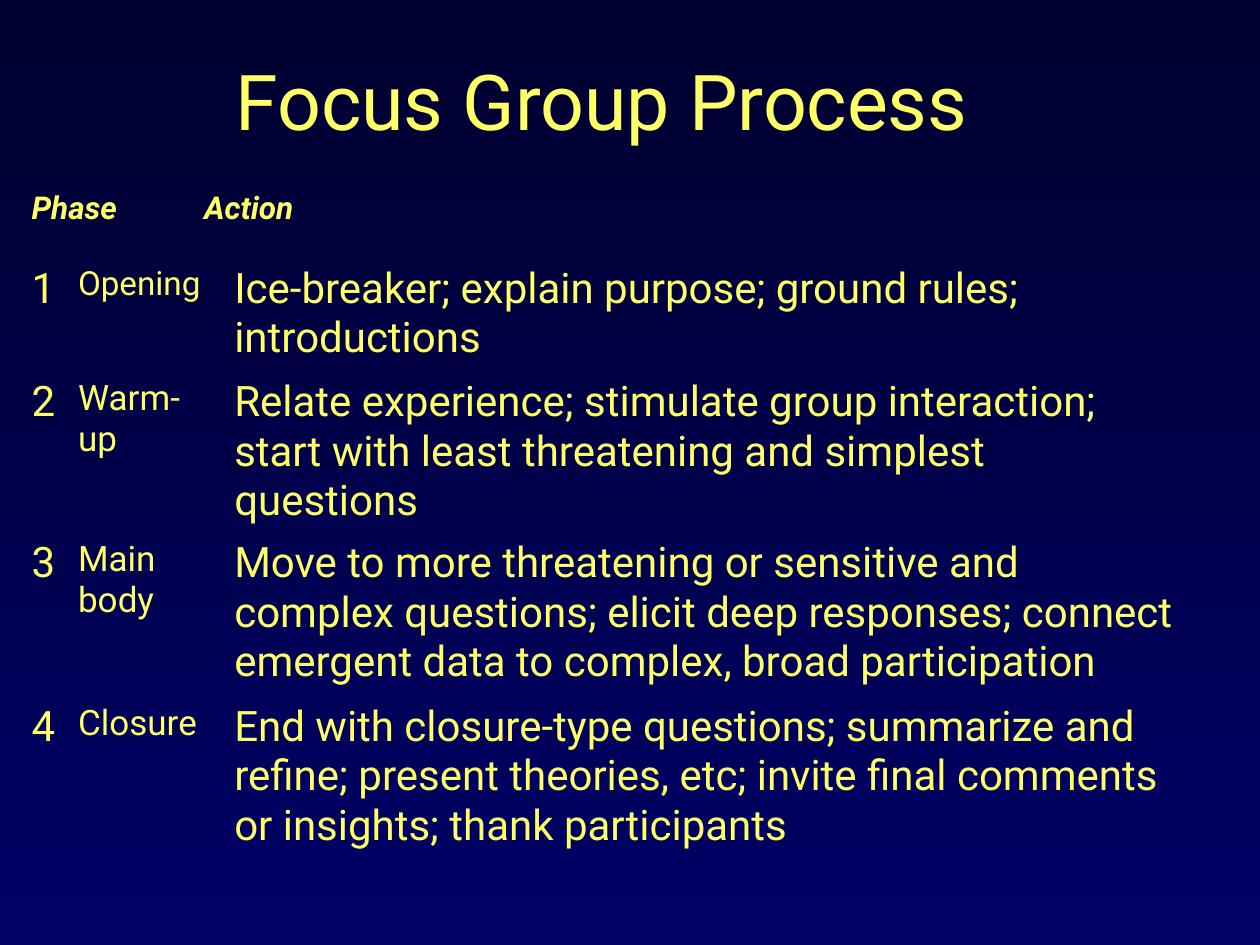
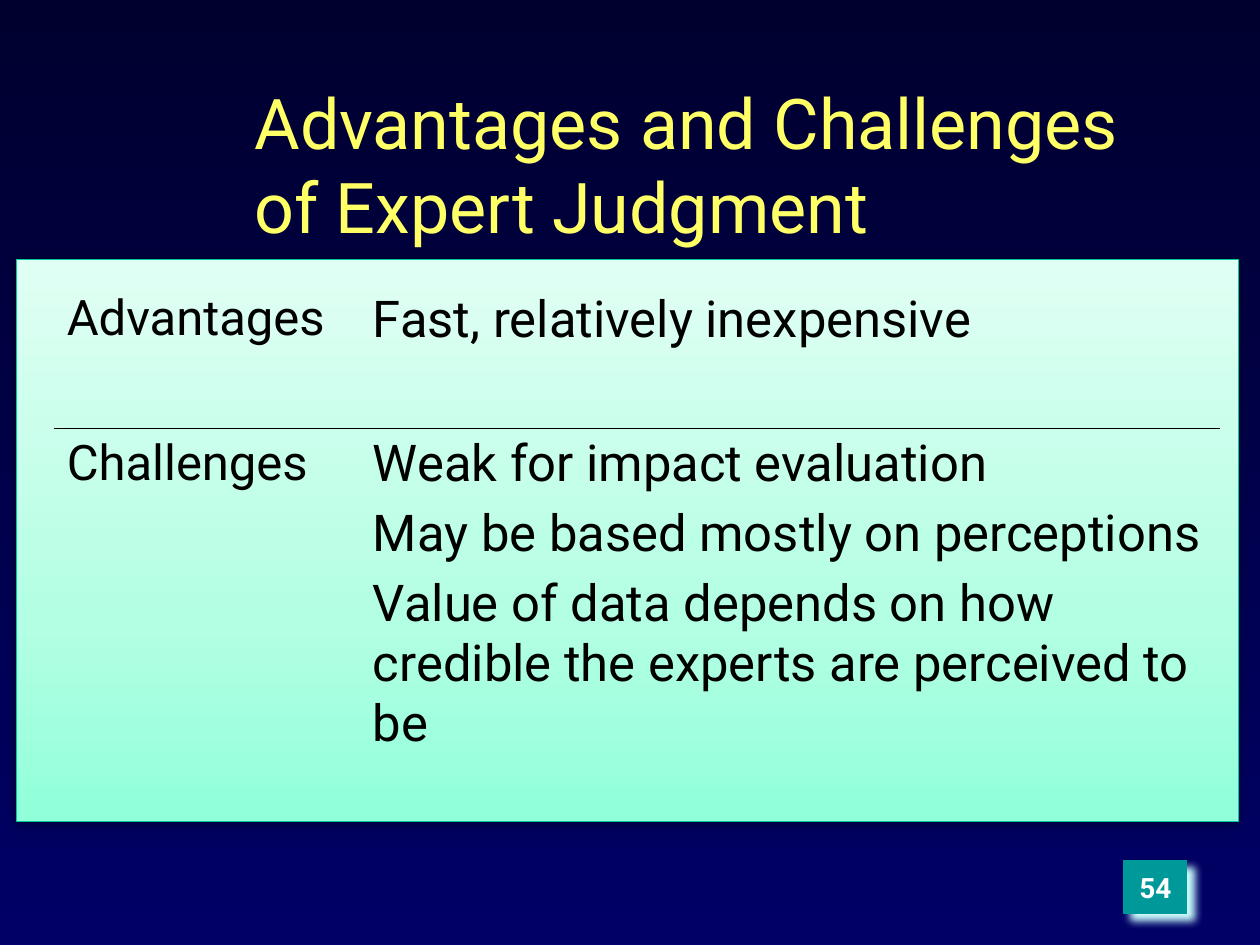
from lxml import etree
from pptx import Presentation
from pptx.dml.color import RGBColor
from pptx.enum.shapes import MSO_SHAPE
from pptx.enum.text import MSO_ANCHOR, MSO_AUTO_SIZE, PP_ALIGN
from pptx.oxml.ns import qn
from pptx.util import Inches, Pt

# Content
TITLES = ("Focus Group Process", "Advantages and Challenges of Expert Judgment")
HEADS = ("Phase", "Action")
PHASES = [
    ("Opening", 19, "Ice-breaker; explain purpose; ground rules; introductions"),
    ("Warm-up", 20, "Relate experience; stimulate group interaction; start with "
     "least threatening and simplest questions"),
    ("Main body", 20, "Move to more threatening or sensitive and complex questions; "
     "elicit deep responses; connect emergent data to complex, broad participation"),
    ("Closure", 20, "End with closure-type questions; summarize and refine; present "
     "theories, etc; invite final comments or insights; thank participants"),
]
POINTS = [
    ("Advantages", ["Fast, relatively inexpensive"]),
    ("Challenges", ["Weak for impact evaluation",
                    "May be based mostly on perceptions",
                    "Value of data depends on how credible the experts are perceived to be"]),
]
PAGE = "54"

# Shared look
HUE = {
    "yellow": "FFFF66", "black": "000000", "white": "FFFFFF",
    "night": "00002F", "navy": "000066",
    "mint": "90FFDA", "pale": "B2FFE3", "ice": "E0FFF4", "edge": "00CC98",
    "teal": "009999", "glow": "CCFFFF",
}
FONT = "Roboto"
PLAIN = "{2D5ABB26-0587-4C30-8999-92F81FD0307C}"  # table style without grid


def rgb(name):
    return RGBColor.from_string(HUE[name])


def add(parent, tag, **attrs):
    node = etree.SubElement(parent, qn(tag))
    for key, val in attrs.items():
        node.set(key, str(val))
    return node


def put(frame, lines, size, hue="yellow", align=PP_ALIGN.LEFT, gap=0, **extra):
    """Write one paragraph a line, with a gap before all but the first."""
    look = {"name": FONT, "size": Pt(size), "bold": False, "italic": False, **extra}
    frame.word_wrap = True
    for i, line in enumerate(lines):
        para = frame.paragraphs[0] if i == 0 else frame.add_paragraph()
        para.alignment = align
        para.space_before = Pt(gap if i else 0)
        run = para.add_run()
        run.text = line
        for key, val in look.items():
            setattr(run.font, key, val)
        run.font.color.rgb = rgb(hue)


def blend(fill, root, stops, angle):
    """Gradient fill; the angle runs counter-clockwise."""
    fill.gradient()
    fill.gradient_angle = angle
    group = next(root.iter(qn("a:gsLst")))
    for old in list(group):
        group.remove(old)
    for pos, hue in stops:
        add(add(group, "a:gs", pos=pos * 1000), "a:srgbClr", val=HUE[hue])


def shade(shape, hue, alpha, blur, dist, angle):
    shape.shadow.inherit = False
    effects = shape._element.spPr.find(qn("a:effectLst"))
    outer = add(effects, "a:outerShdw", blurRad=Pt(blur), dist=Pt(dist),
                dir=angle * 60000, algn="tl", rotWithShape=0)
    add(add(outer, "a:srgbClr", val=HUE[hue]), "a:alpha", val=alpha * 1000)


def box(slide, area, edge):
    shape = slide.shapes.add_shape(MSO_SHAPE.RECTANGLE, *map(Inches, area))
    shape.line.color.rgb = rgb(edge)
    shape.line.width = Pt(0.75)
    return shape


def start(deck, text, area, size):
    """New slide with its title in place."""
    slide = deck.slides.add_slide(deck.slide_layouts[5])
    title = slide.shapes.title
    for key, val in zip(("left", "top", "width", "height"), area):
        setattr(title, key, Inches(val))
    frame = title.text_frame
    frame.auto_size = MSO_AUTO_SIZE.NONE
    frame.vertical_anchor = MSO_ANCHOR.MIDDLE
    put(frame, [text], size)
    return slide


def grid(slide, left, top, cols, rows):
    table = slide.shapes.add_table(
        len(rows), len(cols), Inches(left), Inches(top),
        Inches(sum(cols)), Inches(sum(rows))).table
    table.first_row = table.horz_banding = False
    table._tbl.tblPr.find(qn("a:tableStyleId")).text = PLAIN
    for col, wide in zip(table.columns, cols):
        col.width = Inches(wide)
    for row, high in zip(table.rows, rows):
        row.height = Inches(high)
    for cell in table.iter_cells():
        cell.fill.background()
    return table


def rule(cell, side):
    """Thin black border; it goes before the cell's fill."""
    props = cell._tc.get_or_add_tcPr()
    line = add(props, side, w=Pt(1))
    add(add(line, "a:solidFill"), "a:srgbClr", val=HUE["black"])
    props.insert(0, line)


def process(deck):
    slide = start(deck, TITLES[0], (1.77, 0.21, 7.37, 1.16), 44)
    table = grid(slide, 0.15, 1.46, (0.37, 1, 0.24, 7.66), (0.59, 0.9, 0.9, 1.3, 1.3))
    # Headings each span two columns
    for col, head in zip((0, 2), HEADS):
        cell = table.cell(0, col)
        cell.merge(table.cell(0, col + 1))
        put(cell.text_frame, [head], 18, bold=True, italic=True)
    # Number, phase and action
    for row, (phase, size, action) in enumerate(PHASES, 1):
        table.cell(row, 1).merge(table.cell(row, 2))
        for col, text, points in ((0, str(row), 24), (1, phase, size), (3, action, 24)):
            put(table.cell(row, col).text_frame, [text], points)


def judgment(deck):
    slide = start(deck, TITLES[1], (1.92, 0.67, 7.33, 1.25), 40)
    # Panel
    panel = box(slide, (0.13, 2.06, 9.7, 4.46), "edge")
    blend(panel.fill, panel._element, ((0, "mint"), (35, "pale"), (100, "ice")), 90)
    shade(panel, "black", 38, 5, 1.6, 90)
    # Page badge
    badge = box(slide, (8.92, 6.83, 0.5, 0.42), "teal")
    badge.fill.solid()
    badge.fill.fore_color.rgb = rgb("teal")
    shade(badge, "glow", 100, 5, 5.7, 45)
    put(badge.text_frame, [PAGE], 16, "white", PP_ALIGN.CENTER, bold=True)
    # Points
    table = grid(slide, 0.43, 2.25, (2.43, 6.82), (1.15, 2.71))
    for row, (label, lines) in enumerate(POINTS):
        put(table.cell(row, 0).text_frame, [label], 28, "black")
        put(table.cell(row, 1).text_frame, lines, 29, "black", gap=5.8)
        for col in range(2):
            rule(table.cell(row, col), "a:lnT" if row else "a:lnB")


def main():
    deck = Presentation()
    deck.slide_width, deck.slide_height = Inches(10), Inches(7.5)
    master = deck.slide_master
    blend(master.background.fill, master._element.cSld.find(qn("p:bg")),
          ((0, "night"), (100, "navy")), 270)
    process(deck)
    judgment(deck)
    deck.save("out.pptx")


if __name__ == "__main__":
    main()
